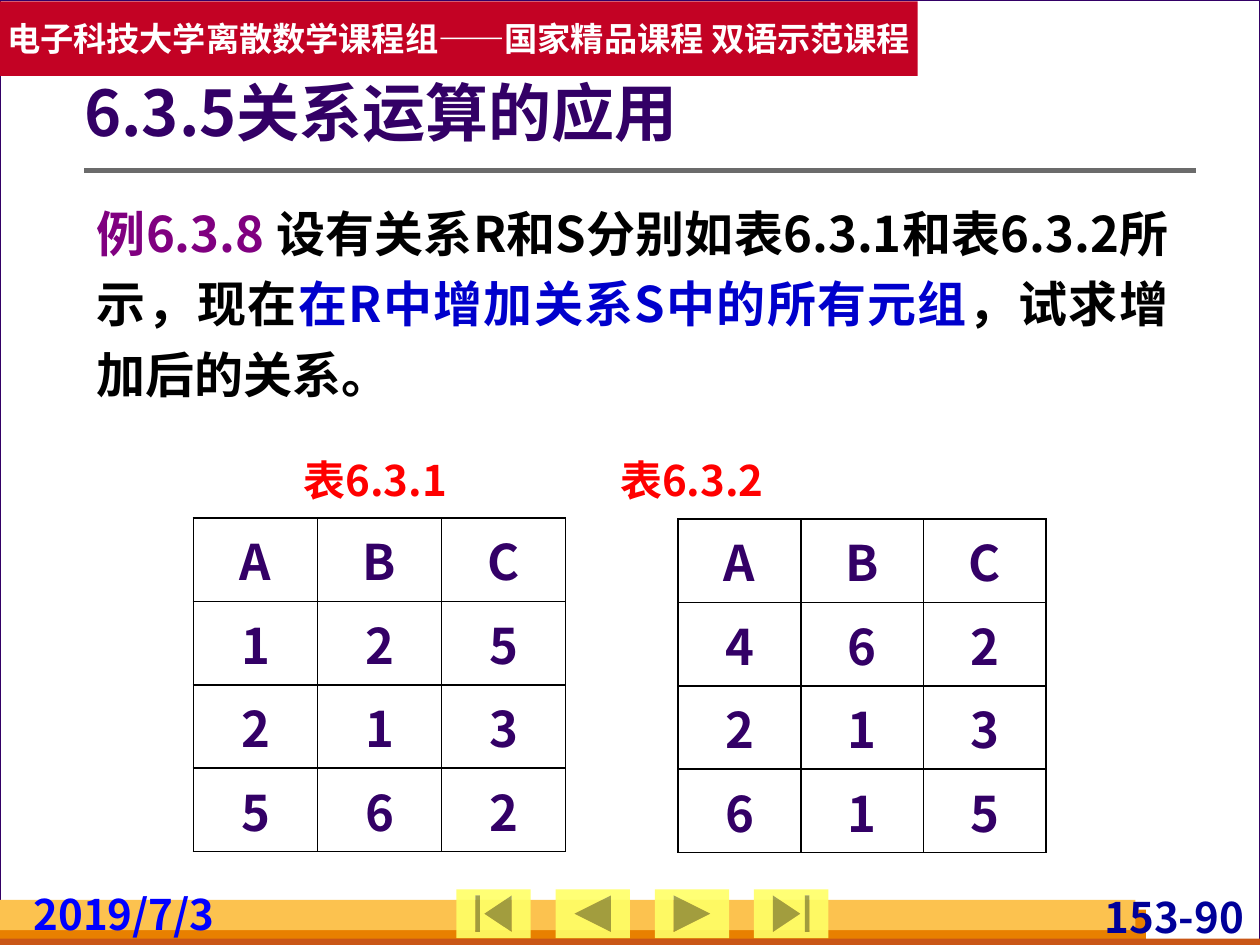
from lxml.etree import SubElement
from pptx import Presentation
from pptx.dml.color import RGBColor
from pptx.enum.shapes import MSO_CONNECTOR, MSO_SHAPE
from pptx.enum.text import MSO_ANCHOR, MSO_AUTO_SIZE, PP_ALIGN
from pptx.oxml.ns import qn
from pptx.util import Cm, Pt

FONT = "Noto Sans CJK SC"
PURPLE = "330066"
LEFT, CENTER, RIGHT, JUSTIFY = PP_ALIGN.LEFT, PP_ALIGN.CENTER, PP_ALIGN.RIGHT, PP_ALIGN.JUSTIFY
MIDDLE, TOP = MSO_ANCHOR.MIDDLE, MSO_ANCHOR.TOP
RECTANGLE = MSO_SHAPE.RECTANGLE
BUTTONS = (
    MSO_SHAPE.ACTION_BUTTON_BEGINNING,
    MSO_SHAPE.ACTION_BUTTON_BACK_OR_PREVIOUS,
    MSO_SHAPE.ACTION_BUTTON_FORWARD_OR_NEXT,
    MSO_SHAPE.ACTION_BUTTON_END,
)


def color(hex_string):
    return RGBColor.from_string(hex_string)


def style_paragraph(paragraph, size, hex_string, alignment=LEFT):
    paragraph.alignment = alignment
    paragraph.space_before = Pt(0)
    font = paragraph.font
    font.name, font.size, font.bold = FONT, Pt(size), True
    font.color.rgb = color(hex_string)
    properties = paragraph._p.pPr.find(qn("a:defRPr"))
    SubElement(properties, qn("a:ea")).set("typeface", FONT)


def place(shape, left, top, width, height):
    shape.left, shape.top = Cm(left), Cm(top)
    shape.width, shape.height = Cm(width), Cm(height)


def add_filled_shape(slide, kind, box, fill, line=None):
    shape = slide.shapes.add_shape(kind, *map(Cm, box))
    shape.shadow.inherit = False
    shape.fill.solid()
    shape.fill.fore_color.rgb = color(fill)
    if line:
        shape.line.color.rgb = color(line)
        shape.line.width = Pt(0.75)
    else:
        shape.line.fill.background()
    return shape


def add_label(slide, box, text, size, hex_string, alignment=LEFT, inset=0.25, tab=None):
    frame = slide.shapes.add_textbox(*map(Cm, box)).text_frame
    frame.word_wrap = True
    frame.margin_left = frame.margin_right = Cm(inset)
    frame.margin_top = frame.margin_bottom = Cm(0.13 if inset > 0.1 else 0)
    paragraph = frame.paragraphs[0]
    paragraph.text = text
    if tab:
        tabs = SubElement(paragraph._p.get_or_add_pPr(), qn("a:tabLst"))
        stop = SubElement(tabs, qn("a:tab"))
        stop.set("pos", str(Cm(tab)))
        stop.set("algn", "l")
    style_paragraph(paragraph, size, hex_string, alignment)


def add_banner(slide, left, top, width, height):
    banner = add_filled_shape(slide, RECTANGLE, (left, top, width, height), "C30224")
    frame = banner.text_frame
    frame.word_wrap = False
    frame.vertical_anchor = MIDDLE
    frame.text = "电子科技大学离散数学课程组——国家精品课程 双语示范课程"
    style_paragraph(frame.paragraphs[0], 19, "FFFFFF", CENTER)


def add_footer(slide, left, top, width):
    add_filled_shape(slide, RECTANGLE, (left, top + 0.43, 23.1, 0.71), "E88000")
    add_filled_shape(slide, RECTANGLE, (left, top + 1.01, width, 0.2), "C95616")
    add_filled_shape(slide, RECTANGLE, (left, top + 0.23, 22.89, 0.61), "FCC24F")
    add_label(slide, (left + 21.5, top + 0.07, 3.68, 1.02), "153-90", 24, "000099", RIGHT, 0.1)
    for index, kind in enumerate(BUTTONS):
        box = (left + 9.2 + 2 * index, top + 0.02, 1.5, 0.98)
        button = add_filled_shape(slide, kind, box, "FFFF66")
        fill_color = button._element.spPr.find(qn("a:solidFill"))[0]
        SubElement(fill_color, qn("a:alpha")).set("val", "90000")
    add_label(slide, (left + 0.58, top, 4.19, 1.02), "2019/7/3", 24, "0000FF", inset=0.1)


def add_rule(slide, left, top, width):
    rule = slide.shapes.add_connector(
        MSO_CONNECTOR.STRAIGHT, Cm(left), Cm(top), Cm(left + width), Cm(top))
    rule.line.color.rgb = color("6B6B6B")
    rule.line.width = Pt(3)
    SubElement(rule._element.spPr, qn("a:effectLst"))


def fill_title(slide, *box):
    title = slide.shapes.title
    slide.shapes._spTree.append(title._element)
    place(title, *box)
    frame = title.text_frame
    frame.auto_size = MSO_AUTO_SIZE.NONE
    frame.vertical_anchor = MIDDLE
    frame.margin_left = 0
    frame.text = "6.3.5关系运算的应用"
    paragraph = frame.paragraphs[0]
    paragraph.line_spacing = 0.9
    style_paragraph(paragraph, 36, PURPLE)


def fill_body(slide, *box):
    body = slide.placeholders[1]
    slide.shapes._spTree.append(body._element)
    place(body, *box)
    frame = body.text_frame
    frame.auto_size = MSO_AUTO_SIZE.NONE
    frame.vertical_anchor = TOP
    paragraph = frame.paragraphs[0]
    paragraph.line_spacing = 1.2
    properties = paragraph._p.get_or_add_pPr()
    properties.set("marL", "0")
    properties.set("indent", "0")
    SubElement(properties, qn("a:buNone"))
    style_paragraph(paragraph, 28, "000000", JUSTIFY)
    for text, hex_string in (
        ("例6.3.8 ", "800080"),
        ("设有关系R和S分别如表6.3.1和表6.3.2所示，现在", "000000"),
        ("在R中增加关系S中的所有元组", "0000CC"),
        ("，试求增加后的关系。", "000000"),
    ):
        run = paragraph.add_run()
        run.text = text
        run.font.color.rgb = color(hex_string)


def set_borders(cell):
    properties = cell._tc.get_or_add_tcPr()
    for index, side in enumerate(("lnL", "lnR", "lnT", "lnB")):
        border = properties.makeelement(qn(f"a:{side}"), {"w": str(Pt(1))})
        properties.insert(index, border)
        fill = SubElement(border, qn("a:solidFill"))
        SubElement(fill, qn("a:srgbClr")).set("val", "000000")


def add_relation_table(slide, rows, left, top, width, height):
    table = slide.shapes.add_table(
        len(rows), len(rows[0]), Cm(left), Cm(top), Cm(width), Cm(height)).table
    table.first_row = table.horz_banding = False
    for row_index, values in enumerate(rows):
        for column_index, value in enumerate(values):
            cell = table.cell(row_index, column_index)
            cell.text = value
            cell.vertical_anchor = MIDDLE
            cell.fill.background()
            set_borders(cell)
            style_paragraph(cell.text_frame.paragraphs[0], 28, PURPLE, CENTER)


def build_slide(presentation):
    slide = presentation.slides.add_slide(presentation.slide_layouts[1])
    slide.background.fill.solid()
    slide.background.fill.fore_color.rgb = color("D8DADA")
    add_filled_shape(slide, RECTANGLE, (0, 0, 25.4, 19.05), "FFFFFF", PURPLE)
    add_banner(slide, 0, 0.03, 18.5, 1.5)
    add_footer(slide, 0, 17.91, 25.4)
    add_rule(slide, 1.7, 3.43, 22.4)
    fill_title(slide, 1.7, 1.52, 22.4, 1.63)
    fill_body(slide, 1.7, 3.73, 22.1, 4.52)
    add_relation_table(slide, ("ABC", "462", "213", "615"), 13.67, 10.46, 7.42, 5.77)
    add_relation_table(slide, ("ABC", "125", "213", "562"), 3.9, 10.44, 7.5, 5.77)
    add_label(slide, (5.87, 9.04, 13.44, 1.27), "表6.3.1\t表6.3.2", 24, "FF0000", JUSTIFY, tab=6.38)


def main():
    presentation = Presentation()
    presentation.slide_width, presentation.slide_height = Cm(25.4), Cm(19.05)
    build_slide(presentation)
    presentation.save("out.pptx")


if __name__ == "__main__":
    main()
